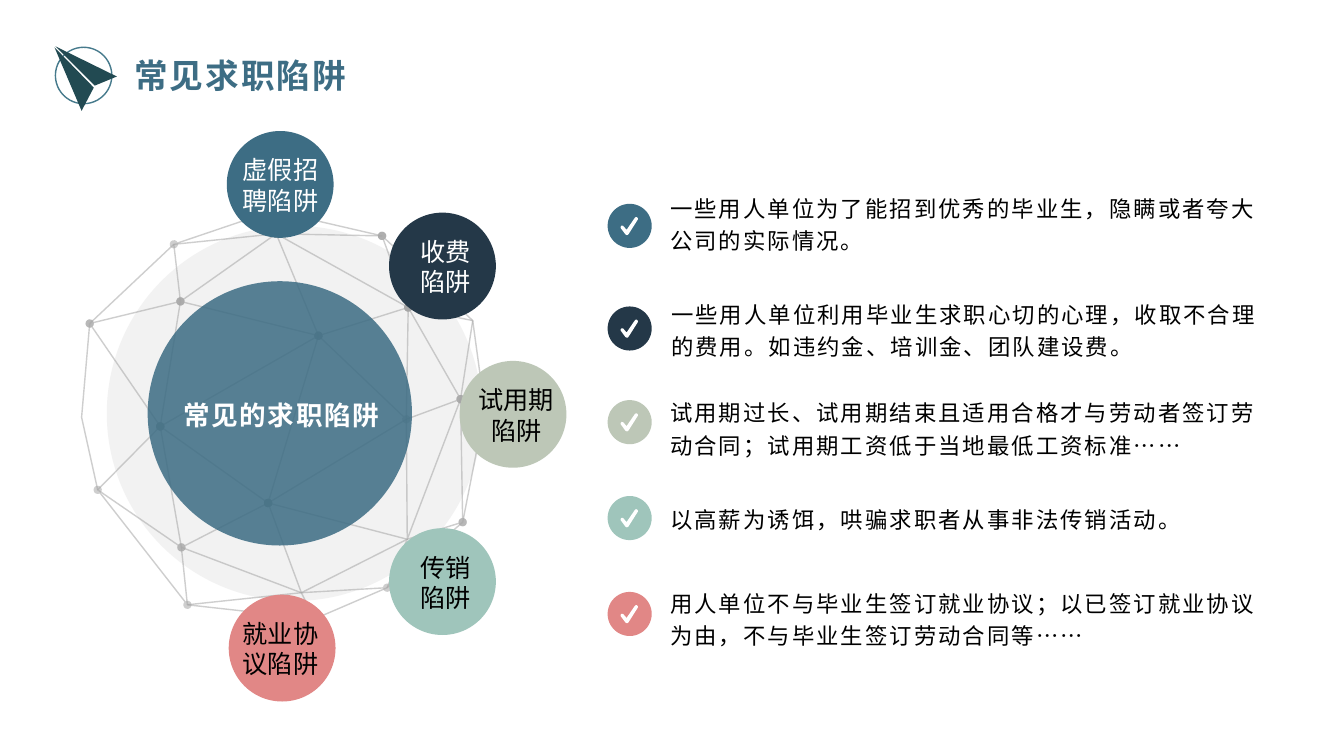
"""Build the slide on common job-hunting traps."""
from dataclasses import dataclass

from lxml import etree
from pptx import Presentation
from pptx.dml.color import RGBColor
from pptx.enum.shapes import MSO_CONNECTOR, MSO_SHAPE
from pptx.enum.text import MSO_ANCHOR, MSO_AUTO_SIZE, PP_ALIGN
from pptx.oxml.ns import qn
from pptx.util import Pt

OVAL = MSO_SHAPE.OVAL
STRAIGHT = MSO_CONNECTOR.STRAIGHT
LEFT, CENTER = PP_ALIGN.LEFT, PP_ALIGN.CENTER
TOP, MIDDLE = MSO_ANCHOR.TOP, MSO_ANCHOR.MIDDLE
GROW, FIXED = MSO_AUTO_SIZE.SHAPE_TO_FIT_TEXT, MSO_AUTO_SIZE.NONE


@dataclass(frozen=True)
class Theme:
    font: str = "Noto Sans CJK SC"
    blue: str = "3D6D84"
    navy: str = "243848"
    sage: str = "BDC7B7"
    mint: str = "9FC5BB"
    coral: str = "E18786"
    plane: str = "224A52"
    ring: str = "467A8C"
    pale: str = "F2F2F2"
    mesh: str = "A6A6A6"
    white: str = "FFFFFF"
    black: str = "000000"
    title: float = 24
    hub: float = 19
    label: float = 18
    body: float = 16


@dataclass(frozen=True)
class Style:
    size: float
    color: str
    bold: bool = False
    spacing: float = 0
    align: PP_ALIGN = LEFT
    line: float = 1.0
    padding: tuple = (7.2, 3.6, 7.2, 3.6)
    auto_size: MSO_AUTO_SIZE = GROW
    anchor: MSO_ANCHOR = TOP


@dataclass(frozen=True)
class Trap:
    lines: tuple
    color: str
    text_color: str
    align: PP_ALIGN
    left: float
    top: float
    label_left: float


@dataclass(frozen=True)
class Advice:
    text: str
    color: str
    badge_top: float
    box: tuple


@dataclass(frozen=True)
class Strand:
    nodes: str
    head: bool = True
    tail: bool = True


T = Theme()
FLAT = (7.2, 0, 7.2, 3.6)
TITLE = Style(T.title, T.blue, True, 1.5, anchor=MIDDLE)
BODY = Style(T.body, T.black, False, 1.5, LEFT, 1.2, FLAT, FIXED)
HUB = Style(T.hub, T.white, True, 1.2, CENTER, 1.2, FLAT, FIXED)

TRAPS = [
    Trap(("虚假招聘陷阱",), T.blue, T.white, LEFT, 162, 93.6, 166.3),
    Trap(("收费", "陷阱"), T.navy, T.white, CENTER, 277.9, 151.9, 283),
    Trap(("试用期陷阱",), T.sage, T.black, CENTER, 328.3, 257.8, 333.4),
    Trap(("传销", "陷阱"), T.mint, T.black, CENTER, 277.9, 377.3, 283),
    Trap(("就业协议陷阱",), T.coral, T.black, LEFT, 163.4, 424.8, 166.3),
]
ADVICE = [
    Advice("一些用人单位为了能招到优秀的毕业生，隐瞒或者夸大公司的实际情况。",
           T.blue, 145.6, (471.6, 135.4, 434.2, 31.7)),
    Advice("一些用人单位利用毕业生求职心切的心理，收取不合理的费用。如违约金、培训金、团队建设费。",
           T.navy, 218.9, (472.3, 211, 442.8, 61.2)),
    Advice("试用期过长、试用期结束且适用合格才与劳动者签订劳动合同；试用期工资低于当地最低工资标准……",
           T.sage, 285.8, (471.6, 281.5, 443.5, 82.8)),
    Advice("以高薪为诱饵，哄骗求职者从事非法传销活动。",
           T.mint, 354.3, (471.6, 357.8, 434.2, 38.2)),
    Advice("用人单位不与毕业生签订就业协议；以已签订就业协议为由，不与毕业生签订劳动合同等……",
           T.coral, 422.8, (471.6, 417.6, 443.5, 31.7)),
]
BADGE_LEFT, BADGE_SIZE, TRAP_SIZE = 434, 31.5, 76.3
TICK = [(13.7, 22.3), (12.8, 21.9), (9.4, 17.3), (9.3, 16.4), (10, 15.6), (11.1, 15.7), (13.6, 18.6),
        (19.4, 10.1), (20.2, 9.4), (21, 9.5), (21.6, 10.3), (21.6, 11.2), (15.1, 21.5), (14.5, 22.2)]
PLANE = [[(83.5, 54.7), (67.7, 61.2), (39.6, 33.1)], [(67, 62.6), (58.3, 79.2), (38.9, 33.8)]]
NODES = {
    "A": (272.9, 168.5), "B": (195.1, 150.5), "C": (346.3, 292.3), "D": (337.7, 229),
    "E": (133.9, 432), "F": (224.6, 442.1), "G": (276.5, 419.8), "H": (330.5, 373),
    "I": (69.8, 349.9), "J": (64.1, 231.1), "K": (58.3, 298.1), "L": (124.2, 174.5),
    "M": (197.3, 167), "N": (114.5, 304.6), "O": (129.6, 391), "P": (128.9, 215.3),
    "Q": (191.5, 359.3), "R": (215.3, 423.4), "S": (227.5, 239.8), "T": (291.6, 219.6),
    "U": (329, 285.1), "V": (290.9, 385.2), "W": (290.2, 299.5),
}
MESH = [
    *map(Strand, "AB CDA IE BL MSQ BM CU TA UT QVH NQ JN PJ MP TM ST NS OIN QO UWQ SW PS".split()),
    *(Strand(nodes, False, False) for nodes in "EFGHC JKI LMA NOE LJ UDT ORVG".split()),
    *(Strand(nodes, tail=False) for nodes in "QRF HU TWVU GRE".split()),
    Strand("LPN", head=False),
]


def write(s, lines: tuple, style: Style) -> None:
    tf = s.text_frame
    tf.word_wrap, tf.auto_size, tf.vertical_anchor = True, style.auto_size, style.anchor
    tf.margin_left, tf.margin_top, tf.margin_right, tf.margin_bottom = map(Pt, style.padding)
    for i, line in enumerate(lines):
        p = tf.add_paragraph() if i else tf.paragraphs[0]
        p.text, p.alignment, p.line_spacing = line, style.align, style.line
        font = p.font
        font.size, font.bold, font.name = Pt(style.size), style.bold, T.font
        font.color.rgb = RGBColor.from_string(style.color)
        props = p._p.pPr.find(qn("a:defRPr"))
        props.set("spc", str(round(style.spacing * 100)))
        ea = etree.Element(qn("a:ea"), typeface=T.font)
        props.find(qn("a:latin")).addnext(ea)


def add_text(sp, box: tuple, lines: tuple, style: Style) -> None:
    write(sp.add_textbox(*map(Pt, box)), lines, style)


def set_alpha(props, percent: int) -> None:
    color = props.find(qn("a:solidFill"))[0]
    etree.SubElement(color, qn("a:alpha"), val=str(percent * 1000))


def paint(s, color: str) -> None:
    s.shadow.inherit = False
    s.fill.solid()
    s.fill.fore_color.rgb = RGBColor.from_string(color)
    s.line.fill.background()


def add_circle(sp, left: float, top: float, size: float, color: str):
    s = sp.add_shape(OVAL, Pt(left), Pt(top), Pt(size), Pt(size))
    paint(s, color)
    return s


def add_outline(sp, contours: list, close: bool = True):
    builder = None
    for contour in contours:
        start, *rest = [(Pt(x), Pt(y)) for x, y in contour]
        if builder is None:
            builder = sp.build_freeform(*start, scale=1.0)
        else:
            builder.move_to(*start)
        builder.add_line_segments(rest, close=close)
    return builder.convert_to_shape()


def add_strand(sp, strand: Strand) -> None:
    points = [NODES[node] for node in strand.nodes]
    if len(points) == 2:
        s = sp.add_connector(STRAIGHT, *(Pt(v) for point in points for v in point))
    else:
        s = add_outline(sp, [points], close=False)
        s.fill.background()
    s.line.width = Pt(1)
    s.line.color.rgb = RGBColor.from_string(T.mesh)
    props = s._element.spPr
    ln = props.find(qn("a:ln"))
    set_alpha(ln, 54)
    for tag, shown in (("a:headEnd", strand.head), ("a:tailEnd", strand.tail)):
        if shown:
            etree.SubElement(ln, qn(tag), type="oval")
    etree.SubElement(props, qn("a:effectLst"))


def main() -> None:
    prs = Presentation()
    prs.slide_width, prs.slide_height = Pt(960), Pt(540)
    slide = prs.slides.add_slide(prs.slide_layouts[5])
    sp = slide.shapes

    title = sp.title
    title.left, title.top, title.width, title.height = map(Pt, (88.6, 35.3, 480, 36))
    write(title, ("常见求职陷阱",), TITLE)
    ring = add_circle(sp, 39.6, 33.8, 40.3, T.ring)
    ring.fill.background()
    ring.line.color.rgb = RGBColor.from_string(T.ring)
    ring.line.width = Pt(1)
    paint(add_outline(sp, PLANE), T.plane)

    for item in ADVICE:
        add_circle(sp, BADGE_LEFT, item.badge_top, BADGE_SIZE, item.color)
        tick = [(BADGE_LEFT + x, item.badge_top + y) for x, y in TICK]
        paint(add_outline(sp, [tick]), T.white)
        add_text(sp, item.box, (item.text,), BODY)

    add_circle(sp, 76.3, 161.3, 268, T.pale)
    for strand in MESH:
        add_strand(sp, strand)
    hub = add_circle(sp, 105.5, 200.9, 188.8, T.blue)
    set_alpha(hub._element.spPr, 86)
    add_text(sp, (97.2, 280.1, 207.4, 58.3), ("常见的求职陷阱",), HUB)
    for trap in TRAPS:
        add_circle(sp, trap.left, trap.top, TRAP_SIZE, trap.color)
        style = Style(T.label, trap.text_color, align=trap.align)
        add_text(sp, (trap.label_left, trap.top + 13.4, 70.6, 51.1), trap.lines, style)

    prs.save("out.pptx")


if __name__ == "__main__":
    main()
